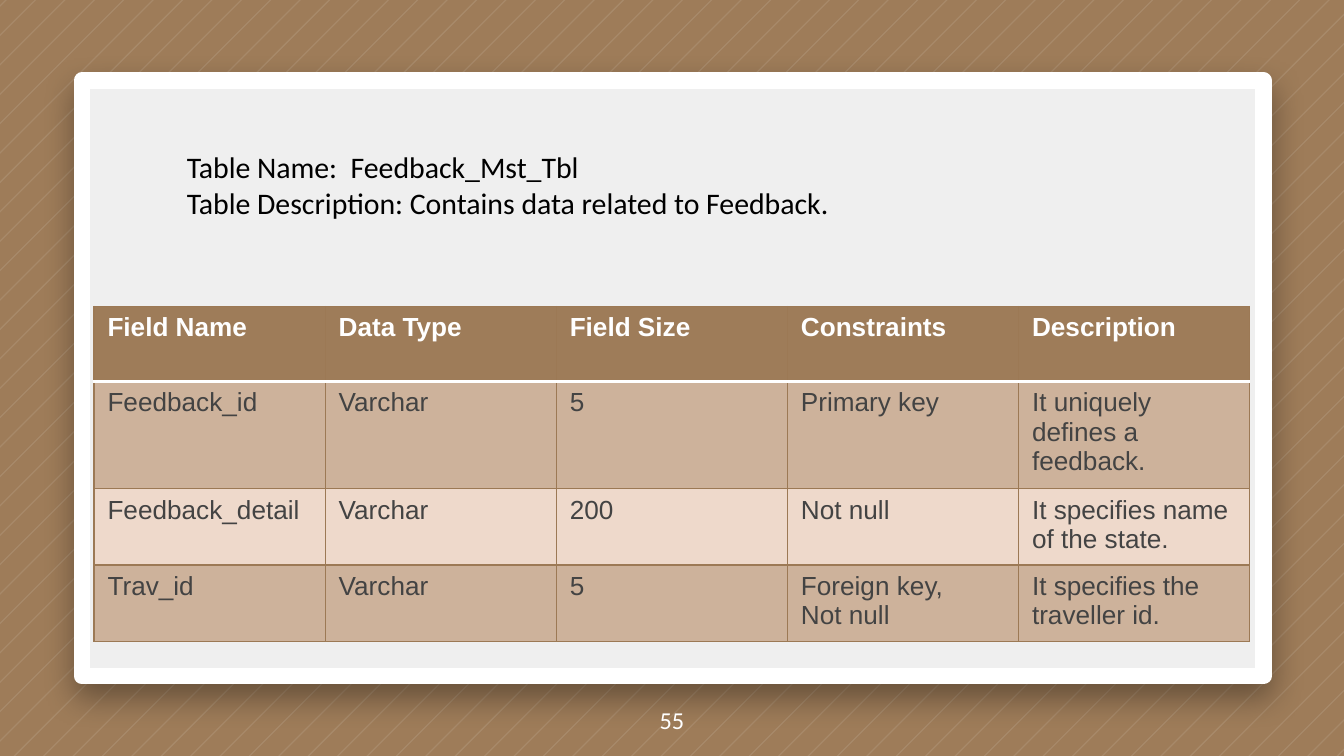
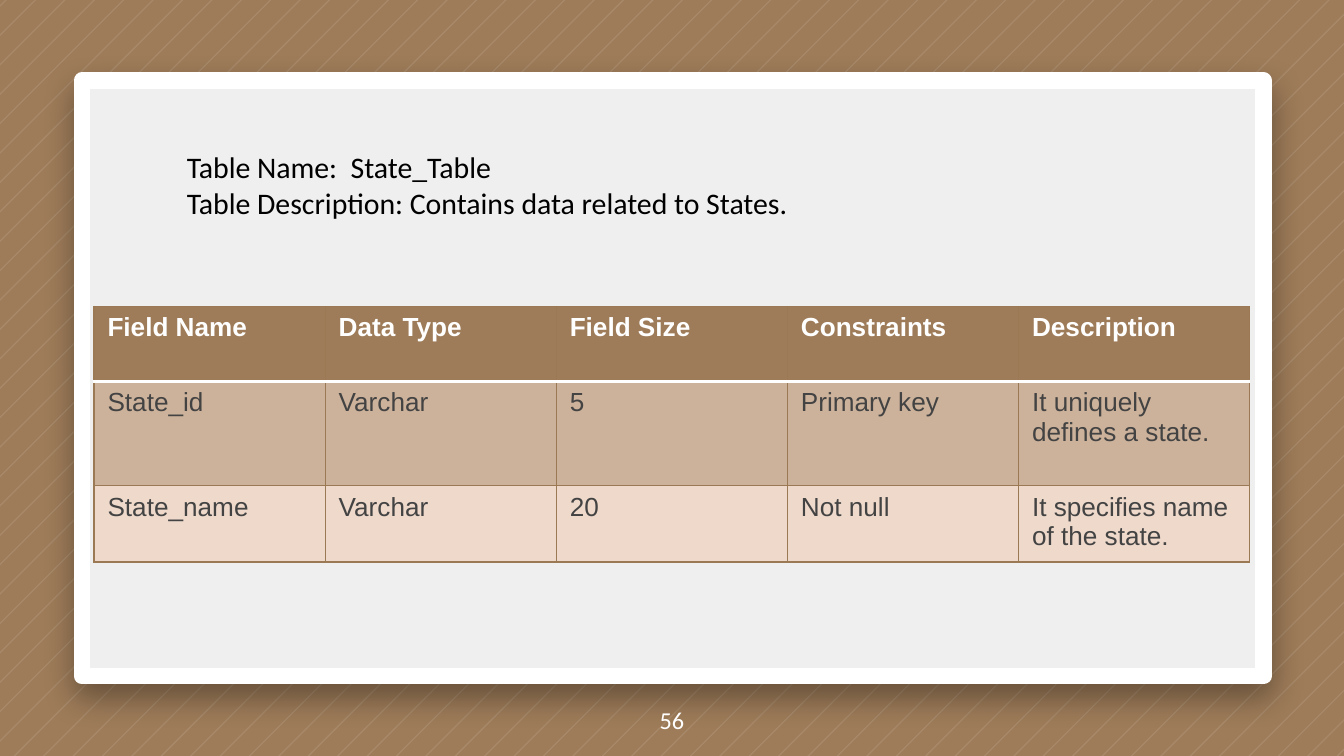
import pptx
import pptx.dml.color
import pptx.enum.shapes
import pptx.enum.text
import pptx.oxml
import pptx.oxml.ns
import pptx.util
from lxml import etree

Pt = pptx.util.Pt
qn = pptx.oxml.ns.qn
ALIGN = pptx.enum.text.PP_ALIGN
ANCHOR = pptx.enum.text.MSO_ANCHOR

COLORS = {
    "brown": "9E7C59",
    "border": "9C7955",
    "panel": "EFEFEF",
    "white": "FFFFFF",
    "black": "000000",
    "body": "434343",
    "band_dark": "CDB29B",
    "band_light": "EED9CB",
}
PAGE_WIDTH, PAGE_HEIGHT = 720, 405

# Boxes are left, top, width, height
PANEL_BOX = (43.9, 43.2, 632.9, 319)
TITLE_BOX = (92.9, 76.3, 535, 46)
NUMBER_BOX = (0, 365.8, PAGE_WIDTH, 39.2)
TABLE_BOX = (50.4, 164.2, 619.2)  # the rows give the height

STRIPE_COUNT, STRIPE_START, STRIPE_STEP, STRIPE_WIDTH = 72, 2.8, 15.75, 0.95
HEADER_HEIGHT = 40
HEADINGS = ["Field Name", "Data Type", "Field Size", "Constraints", "Description"]

PAGES = [
    {
        "number": "55",
        "title": "Table Name:  Feedback_Mst_Tbl\n"
                 "Table Description: Contains data related to Feedback.",
        "heights": [56, 40, 40],
        "rows": [
            ["Feedback_id", "Varchar", "5", "Primary key", "It uniquely defines a feedback."],
            ["Feedback_detail", "Varchar", "200", "Not null", "It specifies name of the state."],
            ["Trav_id", "Varchar", "5", "Foreign key,\nNot null", "It specifies the traveller id."],
        ],
    },
    {
        "number": "56",
        "title": "Table Name:  State_Table\n"
                 "Table Description: Contains data related to States.",
        "heights": [56, 40],
        "rows": [
            ["State_id", "Varchar", "5", "Primary key", "It uniquely defines a state."],
            ["State_name", "Varchar", "20", "Not null", "It specifies name of the state."],
        ],
    },
]


def rgb(name):
    return pptx.dml.color.RGBColor.from_string(COLORS[name])


def fill_solid(fill, name):
    fill.solid()
    fill.fore_color.rgb = rgb(name)


def write(frame, text, font, size, color, bold=False, align=ALIGN.LEFT):
    frame.text = text
    frame.word_wrap = True
    for para in frame.paragraphs:
        para.alignment = align
        for span in para.runs:
            span.font.name = font
            span.font.size = Pt(size)
            span.font.bold = bold
            span.font.color.rgb = rgb(color)


def add_stripes(page, width, height):
    """Diagonal stripes, each between two lines where x + y is constant."""
    def edge(total):
        right, low = min(total, width), min(total, height)
        return (Pt(right), Pt(total - right)), (Pt(total - low), Pt(low))

    builder = None
    for index in range(STRIPE_COUNT):
        start = STRIPE_START + index * STRIPE_STEP
        upper, lower = edge(start)
        far_upper, far_lower = edge(start + STRIPE_WIDTH)
        if builder is None:
            builder = page.shapes.build_freeform(*upper, scale=1.0)
        else:
            builder.move_to(*upper)
        builder.add_line_segments([lower, far_lower, far_upper], close=True)
    stripes = builder.convert_to_shape()
    stripes.shadow.inherit = False
    fill_solid(stripes.fill, "white")
    color = stripes.element.spPr.find(qn("a:solidFill"))[0]
    etree.SubElement(color, qn("a:alpha"), val="10000")
    stripes.line.fill.background()
    return stripes


def add_panel(page, box):
    panel = page.shapes.add_shape(
        pptx.enum.shapes.MSO_SHAPE.RECTANGLE, *map(Pt, box))
    fill_solid(panel.fill, "panel")
    panel.line.color.rgb = rgb("white")
    panel.line.width = Pt(9)
    panel.shadow.inherit = False
    effects = panel.element.spPr.find(qn("a:effectLst"))
    shadow = etree.SubElement(
        effects, qn("a:outerShdw"), blurRad=str(Pt(16.9)), dist=str(Pt(7.5)),
        dir="5400000", algn="t", rotWithShape="0")
    color = etree.SubElement(shadow, qn("a:srgbClr"), val=COLORS["black"])
    etree.SubElement(color, qn("a:alpha"), val="35000")
    return panel


def decorate_layout(page, layout):
    """Move the stripes and panel behind everything on the shared layout."""
    parts = [add_stripes(page, PAGE_WIDTH, PAGE_HEIGHT), add_panel(page, PANEL_BOX)]
    for index, part in enumerate(parts):
        part.element.nvSpPr.cNvPr.set("id", str(101 + index))
        layout.shapes.element.insert(2 + index, part.element)


def add_title(page, text, box):
    title = page.shapes.title
    title.left, title.top, title.width, title.height = map(Pt, box)
    frame = title.text_frame
    write(frame, text, "Calibri", 16, "black")
    frame.vertical_anchor = ANCHOR.TOP
    frame.auto_size = pptx.enum.text.MSO_AUTO_SIZE.SHAPE_TO_FIT_TEXT


def add_number(page, text, box):
    frame = page.shapes.add_textbox(*map(Pt, box)).text_frame
    write(frame, text, "Calibri", 13, "white", align=ALIGN.CENTER)
    frame.vertical_anchor = ANCHOR.MIDDLE
    frame.margin_top = frame.margin_bottom = Pt(7.2)


def add_border(cell, side, color, width):
    properties = cell._tc.get_or_add_tcPr()
    line = etree.SubElement(properties, qn("a:ln" + side), w=str(Pt(width)))
    fill = etree.SubElement(line, qn("a:solidFill"))
    etree.SubElement(fill, qn("a:srgbClr"), val=COLORS[color])


def add_field_table(page, rows, heights, box):
    left, top, width = box
    rows = [HEADINGS] + rows
    heights = [HEADER_HEIGHT] + heights
    table = page.shapes.add_table(
        len(rows), len(HEADINGS), Pt(left), Pt(top), Pt(width), Pt(sum(heights))).table
    table.horz_banding = False
    for column in table.columns:
        column.width = Pt(width / len(HEADINGS))
    for row_index, texts in enumerate(rows):
        table.rows[row_index].height = Pt(heights[row_index])
        header = row_index == 0
        band = "brown" if header else "band_dark" if row_index % 2 else "band_light"
        # A white rule parts the header from the body
        white_side = {0: "B", 1: "T"}.get(row_index)
        for column_index, text in enumerate(texts):
            cell = table.cell(row_index, column_index)
            for side in "LRTB":
                if side == white_side:
                    add_border(cell, side, "white", 2)
                else:
                    add_border(cell, side, "border", 0.75)
            fill_solid(cell.fill, band)
            write(cell.text_frame, text, "Arial", 14,
                  "white" if header else "body", bold=header)


def add_table_page(deck, layout, content):
    page = deck.slides.add_slide(layout)
    add_number(page, content["number"], NUMBER_BOX)
    add_field_table(page, content["rows"], content["heights"], TABLE_BOX)
    add_title(page, content["title"], TITLE_BOX)
    return page


def main():
    deck = pptx.Presentation()
    deck.slide_width, deck.slide_height = Pt(PAGE_WIDTH), Pt(PAGE_HEIGHT)
    fill_solid(deck.slide_master.background.fill, "brown")
    layout = deck.slide_layouts.get_by_name("Title Only")
    pages = [add_table_page(deck, layout, content) for content in PAGES]
    decorate_layout(pages[0], layout)
    deck.save("out.pptx")


if __name__ == "__main__":
    main()
